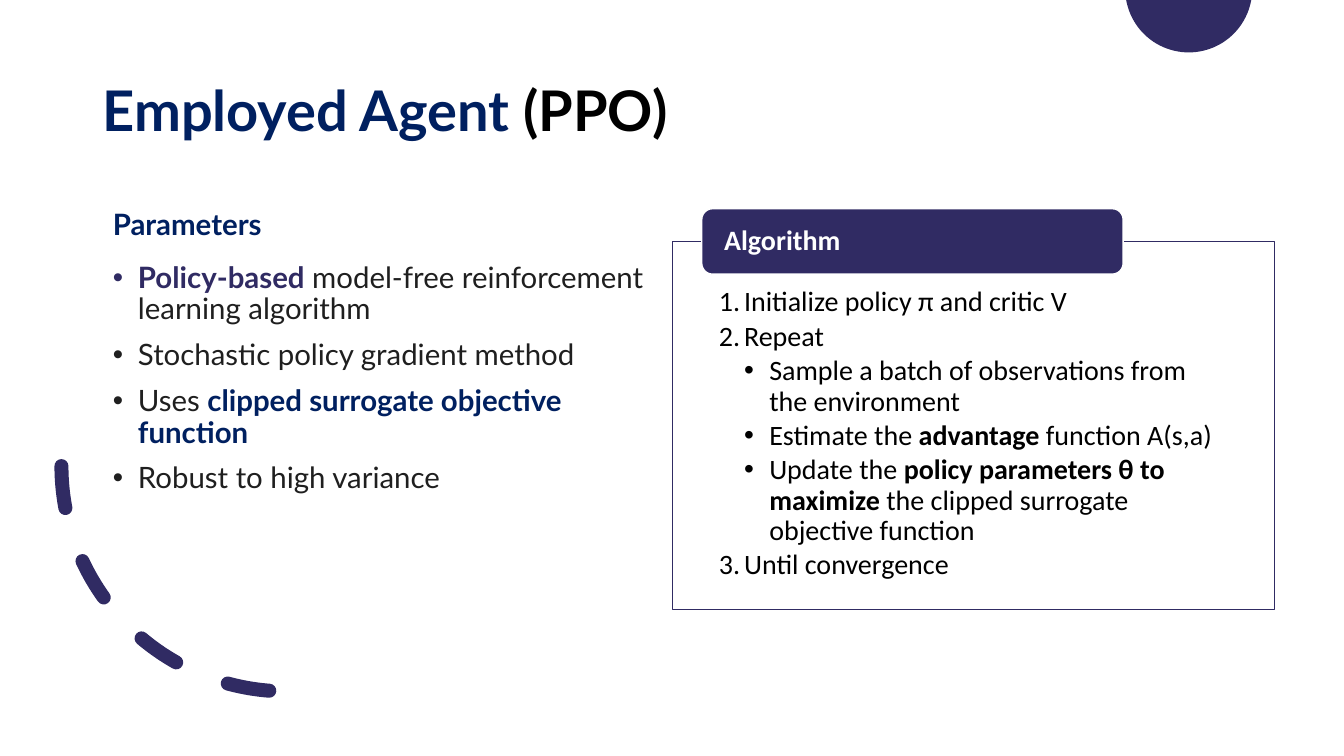
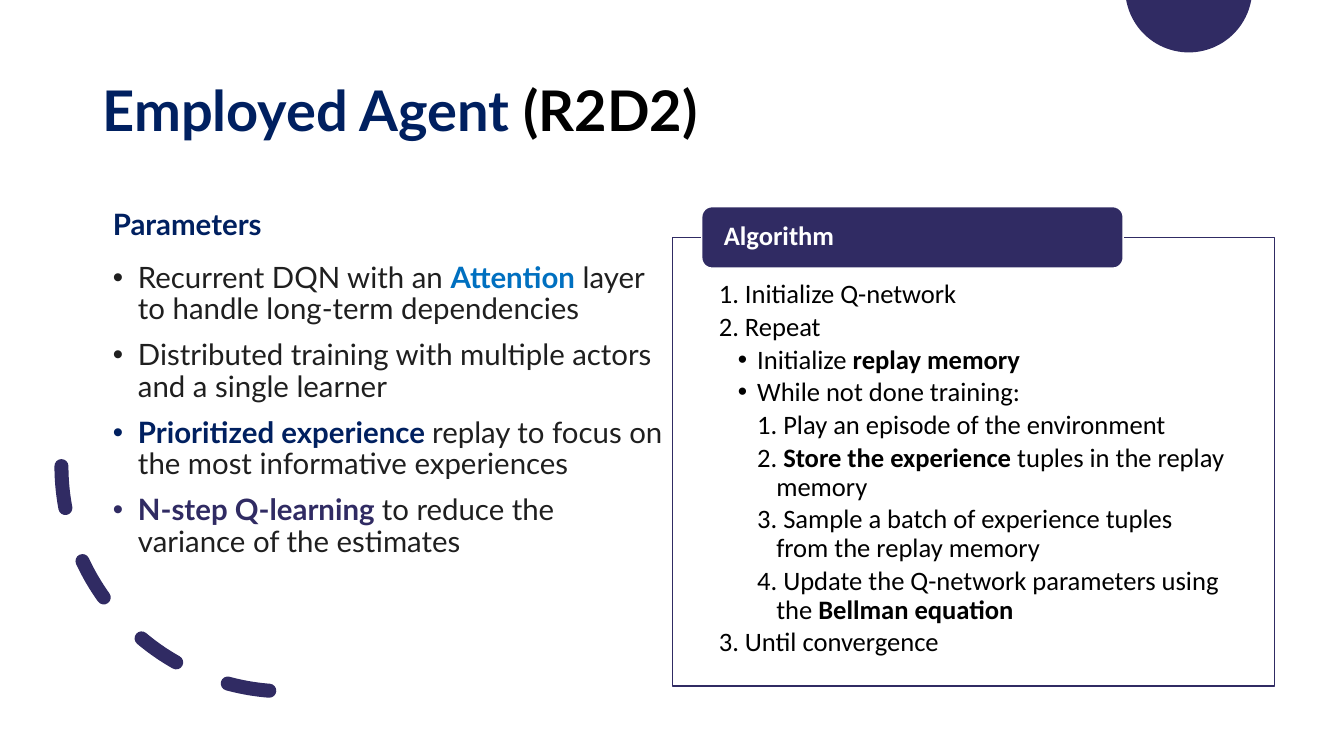
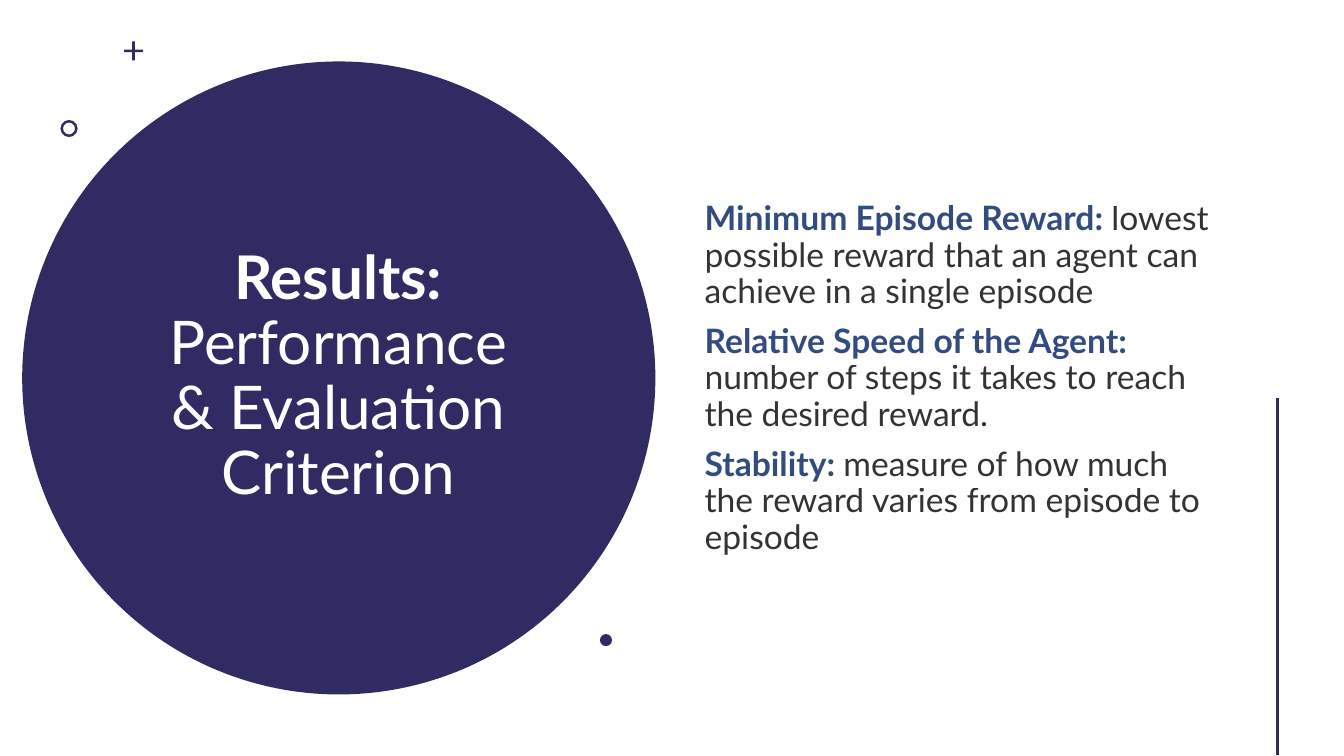
import math

from lxml import etree
from pptx import Presentation, util as u
from pptx.dml.color import RGBColor
from pptx.enum import dml, shapes, text
from pptx.oxml.ns import qn

Inches, Pt = u.Inches, u.Pt
Preset = shapes.MSO_SHAPE

COLORS = {"indigo": "302B63", "navy": "002060", "blue": "0070C0",
          "ink": "1F1F1F", "black": "000000", "white": "FFFFFF"}
HEAD_FONT, LIST_FONT = "Lato", "Calibri"

# Content: a run is plain text, or (text, colour) for bold emphasis.
# Algorithm steps are (level, marker, runs).
AGENTS = [
    {
        "name": "(PPO)",
        "parameters": [
            [("Policy-based", "indigo"), " model-free reinforcement learning algorithm"],
            ["Stochastic policy gradient method"],
            ["Uses ", ("clipped surrogate objective function", "navy")],
            ["Robust to high variance"],
        ],
        "steps": [
            (1, "number", ["Initialize policy π and critic V"]),
            (1, "number", ["Repeat"]),
            (2, "dot", ["Sample a batch of observations from the environment"]),
            (2, "dot", ["Estimate the ", ("advantage", "black"), " function A(s,a)"]),
            (2, "dot", ["Update the ", ("policy parameters θ to maximize", "black"),
                        " the clipped surrogate objective function"]),
            (1, "number", ["Until convergence"]),
        ],
        "size": 20, "indent": 0.25, "top": 2.07, "tab_height": 0.65,
        "panel_height": 3.65, "inset": 0.46,
    },
    {
        "name": "(R2D2)",
        "parameters": [
            ["Recurrent DQN with an ", ("Attention", "blue"),
             " layer to handle long-term dependencies"],
            ["Distributed training with multiple actors and a single learner"],
            [("Prioritized experience ", "navy"),
             "replay to focus on the most informative experiences"],
            [("N-step Q-learning ", "indigo"), "to reduce the variance of the estimates"],
        ],
        "steps": [
            (1, "number", [" Initialize Q-network"]),
            (1, "number", [" Repeat"]),
            (2, "dot", ["Initialize ", ("replay memory", "black")]),
            (2, "dot", ["While not done training:"]),
            (3, "number", [" Play an episode of the environment"]),
            (3, "number", [" ", ("Store the experience ", "black"),
                           "tuples in the replay memory"]),
            (3, "number", [" Sample a batch of experience tuples from the replay memory"]),
            (3, "number", [" Update the Q-network parameters using the ",
                           ("Bellman equation", "black")]),
            (1, "number", [" Until convergence"]),
        ],
        "size": 19, "indent": 0.19, "top": 2.05, "tab_height": 0.61,
        "panel_height": 4.45, "inset": 0.43,
    },
]
RESULTS_TITLE = ("Results:", "Performance & Evaluation Criterion")
CRITERIA = [
    ("Minimum Episode Reward: ",
     "lowest possible reward that an agent can achieve in a single episode"),
    ("Relative Speed of the Agent: ",
     "number of steps it takes to reach the desired reward."),
    ("Stability: ",
     "measure of how much the reward varies from episode to episode"),
]


def rgb(color):
    return RGBColor.from_string(COLORS[color])


def set_alpha(element, percent):
    for color in element.iter(qn("a:srgbClr")):
        etree.SubElement(color, qn("a:alpha")).set("val", str(percent * 1000))


def add_marker(paragraph, marker, level, indent):
    props = paragraph._p.get_or_add_pPr()
    props.set("marL", str(Inches(indent * level)))
    props.set("indent", str(-Inches(indent)))
    if marker == "number":
        etree.SubElement(props, qn("a:buFont")).set("typeface", "+mj-lt")
        etree.SubElement(props, qn("a:buAutoNum")).set("type", "arabicPeriod")
    else:
        etree.SubElement(props, qn("a:buFont")).set("typeface", "Arial")
        etree.SubElement(props, qn("a:buChar")).set("char", "•")


def write(frame, runs, *, size, font=HEAD_FONT, color="ink", marker=None, level=1,
          indent=0.25, before=None, after=None, spacing=0.9, align="LEFT", alpha=None):
    """Add one paragraph to a text frame, using its first one if still empty."""
    first = frame.paragraphs[0]
    paragraph = frame.add_paragraph() if first.runs else first
    if marker:
        paragraph.level = level - 1
        add_marker(paragraph, marker, level, indent)
    paragraph.alignment = getattr(text.PP_ALIGN, align)
    paragraph.line_spacing = spacing
    if before and paragraph._p is not first._p:
        paragraph.space_before = Pt(before)
    if after:
        paragraph.space_after = Pt(after)
    for item in runs:
        if item == "\n":
            paragraph.add_line_break()
            continue
        bold = isinstance(item, tuple)
        words, run_color = item if bold else (item, color)
        run = paragraph.add_run()
        run.text = words
        run.font.name, run.font.size, run.font.bold = font, Pt(size), bold
        run.font.color.rgb = rgb(run_color)
        if alpha:
            set_alpha(run._r, alpha)


def set_frame(shape, anchor, insets=(0.1, 0.05, 0.1, 0.05)):
    frame = shape.text_frame
    frame.word_wrap = True
    frame.vertical_anchor = getattr(text.MSO_ANCHOR, anchor)
    (frame.margin_left, frame.margin_top,
     frame.margin_right, frame.margin_bottom) = map(Inches, insets)
    return frame


def text_box(slide, box, anchor="TOP"):
    return set_frame(slide.shapes.add_textbox(*map(Inches, box)), anchor)


def paint(shape, fill=None, line=None, width=1):
    shape.shadow.inherit = False
    if fill:
        shape.fill.solid()
        shape.fill.fore_color.rgb = rgb(fill)
    else:
        shape.fill.background()
    if line:
        shape.line.color.rgb = rgb(line)
        shape.line.width = Pt(width)
    else:
        shape.line.fill.background()
    return shape


def add_preset(slide, preset, box, **style):
    return paint(slide.shapes.add_shape(preset, *map(Inches, box)), **style)


def add_corner_decor(slide):
    # Disc cut off by the top edge
    center_x, center_y, radius = 11.79, -0.11, 0.63
    start = math.asin(-center_y / radius)
    count = 48
    angles = [start + (math.pi - 2 * start) * i / count for i in range(count + 1)]
    points = [(Inches(center_x + radius * math.cos(a)),
               Inches(center_y + radius * math.sin(a))) for a in angles]
    builder = slide.shapes.build_freeform(*points[0])
    builder.add_line_segments(points[1:], close=True)
    paint(builder.convert_to_shape(), fill="indigo")

    # Dashed arc at the lower left
    arc = add_preset(slide, Preset.ARC, (0.61, 2.39, 4.47, 4.47), line="indigo", width=10)
    arc.rotation = 90
    arc._element.spPr.find(qn("a:xfrm")).set("flipV", "1")
    arc.line.dash_style = dml.MSO_LINE.DASH
    arc._element.spPr.find(qn("a:ln")).set("cap", "rnd")


def add_algorithm(slide, agent):
    size, top, tab_height = agent["size"], agent["top"], agent["tab_height"]
    panel = add_preset(slide, Preset.RECTANGLE,
                       (6.67, top + tab_height / 2, 5.97, agent["panel_height"]),
                       fill="white", line="indigo")
    set_alpha(panel._element.spPr.find(qn("a:solidFill")), 90)
    steps = set_frame(panel, "TOP", (0.46, agent["inset"], 0.46, 0.15))
    for level, marker, runs in agent["steps"]:
        write(steps, runs, size=size, font=LIST_FONT, color="black", marker=marker,
              level=level, indent=agent["indent"], after=size * 0.15)

    tab = add_preset(slide, Preset.ROUNDED_RECTANGLE, (6.96, top, 4.18, tab_height),
                     fill="indigo", line="white")
    write(set_frame(tab, "MIDDLE", (0.19, 0, 0.19, 0)), [("Algorithm", "white")],
          size=size, font=LIST_FONT)


def add_agent_slide(slide, agent):
    body = add_preset(slide, Preset.RECTANGLE, (1.02, 2, 5.65, 4.17), fill="white")
    parameters = set_frame(body, "TOP")
    write(parameters, [("Parameters", "navy")], size=21, spacing=1.0, after=5)
    for runs in agent["parameters"]:
        write(parameters, runs, size=21, marker="dot", before=10)

    add_corner_decor(slide)
    write(text_box(slide, (0.92, 0.4, 11.5, 1.45), "MIDDLE"),
          [("Employed Agent ", "navy"), (agent["name"], "black")], size=40)
    add_algorithm(slide, agent)


def add_results_slide(slide):
    add_preset(slide, Preset.OVAL, (0.22, 0.61, 6.28, 6.28), fill="indigo")
    heading, subject = RESULTS_TITLE
    write(text_box(slide, (1.36, 1.41, 3.99, 4.67), "MIDDLE"),
          [(heading, "white"), "\n", subject], size=43, color="white", align="CENTER")

    # Small ornaments around the disc
    plus = add_preset(slide, Preset.CROSS, (1.23, 0.41, 0.19, 0.19), fill="indigo")
    plus.adjustments[0] = 0.43
    ring = add_preset(slide, Preset.DONUT, (0.6, 1.19, 0.17, 0.17), fill="indigo")
    ring.adjustments[0] = 0.15
    add_preset(slide, Preset.OVAL, (5.95, 6.29, 0.12, 0.12), fill="indigo")

    criteria = text_box(slide, (6.89, 0.57, 5.22, 6.38), "MIDDLE")
    for term, meaning in CRITERIA:
        write(criteria, [(term, "navy"), meaning], size=24, color="black",
              before=10, alpha=80)

    rule = slide.shapes.add_connector(shapes.MSO_CONNECTOR.STRAIGHT,
                                      *map(Inches, (12.67, 3.95, 12.67, 7.49)))
    rule.line.color.rgb = rgb("indigo")
    rule.line.width = Pt(2)
    etree.SubElement(rule._element.spPr, qn("a:effectLst"))


def main():
    deck = Presentation()
    deck.slide_width, deck.slide_height = Inches(13.33), Inches(7.5)
    blank = deck.slide_layouts[6]
    for agent in AGENTS:
        add_agent_slide(deck.slides.add_slide(blank), agent)
    add_results_slide(deck.slides.add_slide(blank))
    deck.save("out.pptx")


if __name__ == "__main__":
    main()
